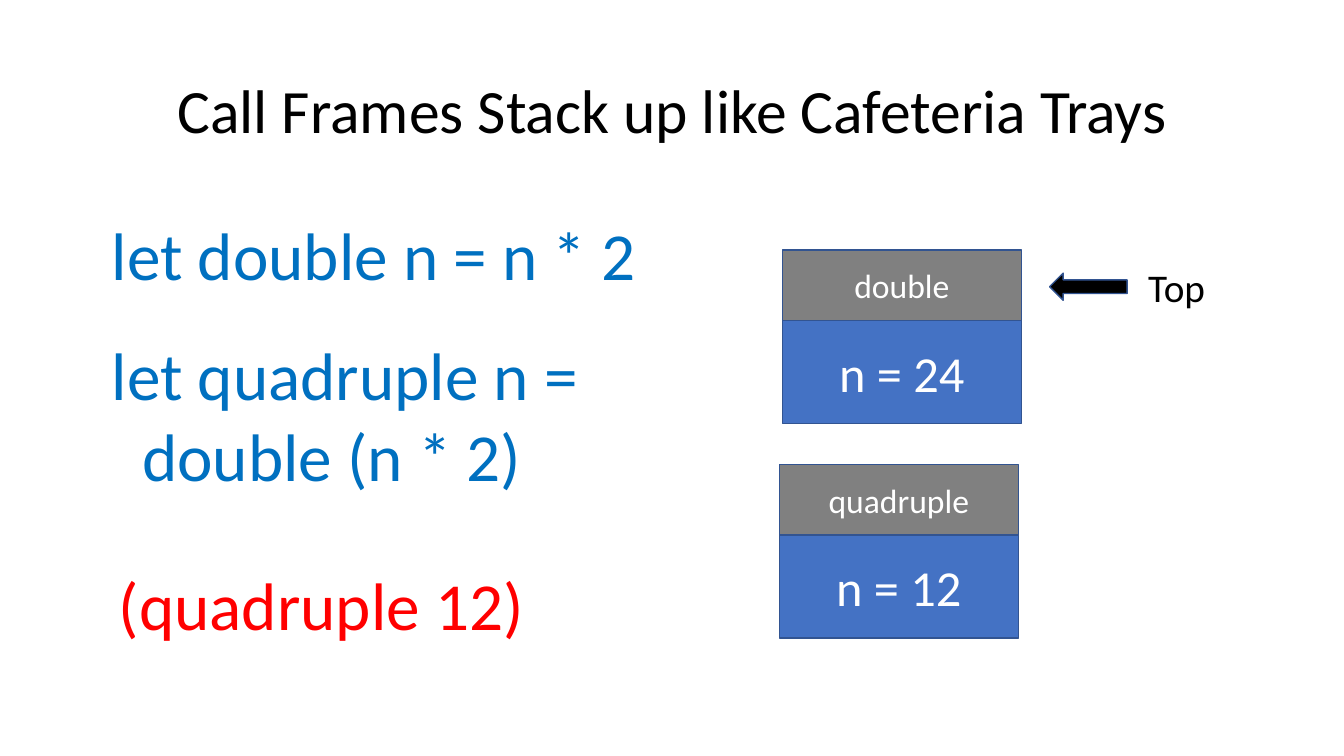
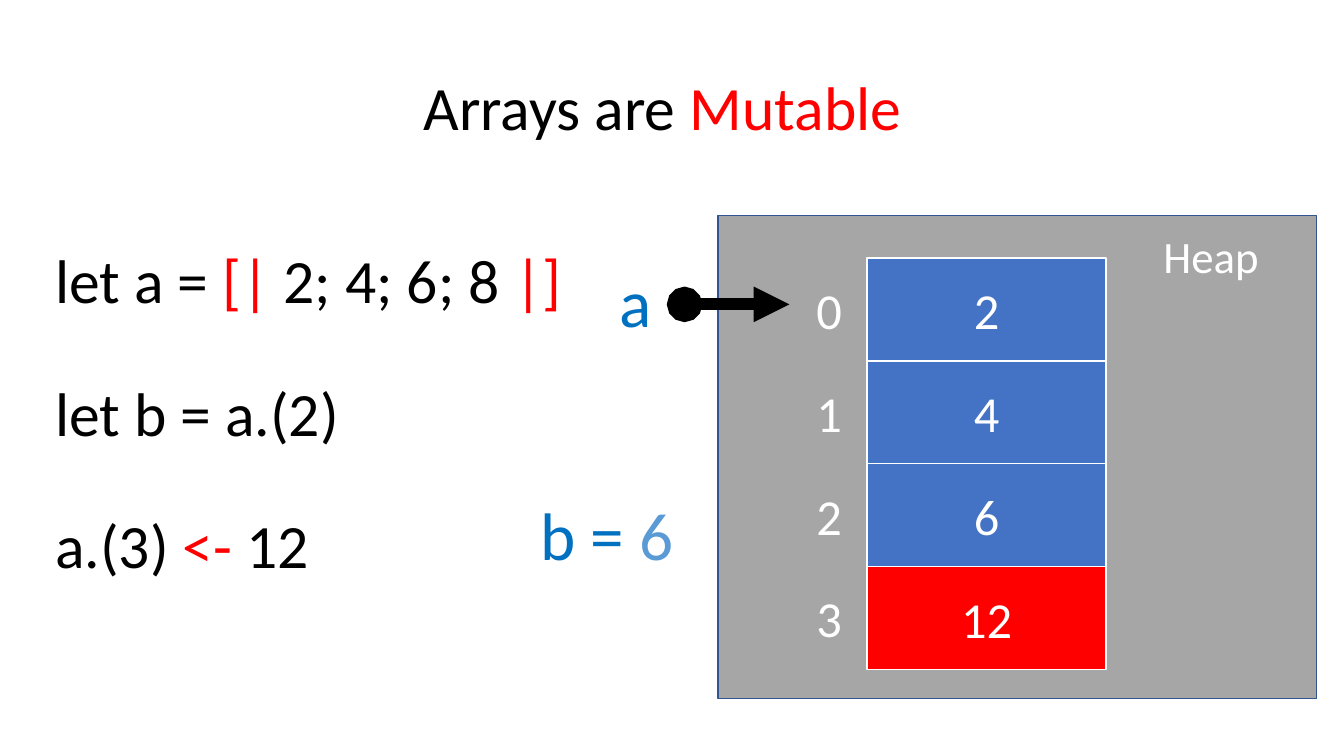
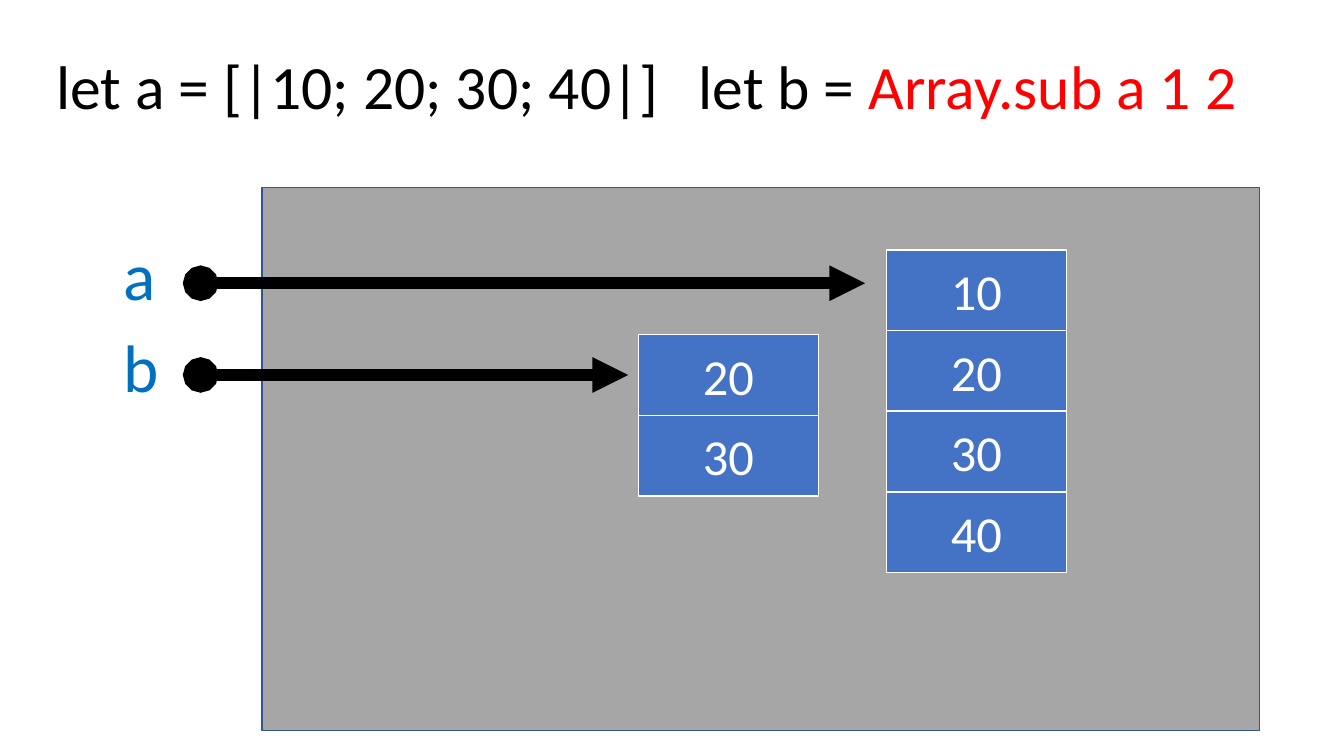
import pptx
import pptx.util
import pptx.dml.color
import pptx.enum.shapes
import pptx.enum.text
import pptx.oxml.ns
import pptx.slide
import pptx.shapes.autoshape
import pptx.presentation
import lxml.etree
from dataclasses import dataclass
from typing import NamedTuple, Optional

Inches = pptx.util.Inches
Pt = pptx.util.Pt
RGBColor = pptx.dml.color.RGBColor
Align = pptx.enum.text.PP_ALIGN
Anchor = pptx.enum.text.MSO_ANCHOR
Preset = pptx.enum.shapes.MSO_SHAPE
qn = pptx.oxml.ns.qn

FONT = "Calibri"
BLACK = RGBColor(0x00, 0x00, 0x00)
WHITE = RGBColor(0xFF, 0xFF, 0xFF)
RED = RGBColor(0xFF, 0x00, 0x00)
CODE_BLUE = RGBColor(0x00, 0x70, 0xC0)
LIGHT_BLUE = RGBColor(0x5B, 0x9B, 0xD5)
CELL_BLUE = RGBColor(0x44, 0x72, 0xC4)
OUTLINE = RGBColor(0x32, 0x54, 0x91)
HEADER_GREY = RGBColor(0x80, 0x80, 0x80)
HEAP_GREY = RGBColor(0xA6, 0xA6, 0xA6)
TITLE_SIZE = 44
CODE_SIZE = 48
CELL_SIZE = 36


class Area(NamedTuple):
    left: float
    top: float
    width: float
    height: float


class Span(NamedTuple):
    text: str
    color: RGBColor


Lines = list[list[Span]]


@dataclass
class Label:
    area: Area
    lines: Lines
    size: int = CODE_SIZE
    align: Align = Align.LEFT
    anchor: Anchor = Anchor.TOP
    wrap: bool = True
    line_spacing: float = 1.0
    gap: float = 0
    tab: Optional[float] = None


@dataclass
class Block:
    area: Area
    fill: RGBColor
    line: RGBColor = OUTLINE
    text: str = ""
    size: int = CELL_SIZE
    preset: Preset = Preset.RECTANGLE


@dataclass
class Pointer:
    left: float
    right: float
    y: float


@dataclass
class CallFrame:
    name: str
    value: str
    left: float
    top: float


@dataclass
class ArrayCells:
    left: float
    top: float
    width: float
    height: float
    values: list[str]


def inches(area: Area) -> list[pptx.util.Length]:
    return [Inches(value) for value in area]


def add_span(para, span: Span, size: int) -> None:
    run = para.add_run()
    run.text = span.text
    run.font.name = FONT
    run.font.size = Pt(size)
    run.font.color.rgb = span.color


def draw_label(page: pptx.slide.Slide, label: Label) -> None:
    frame = page.shapes.add_textbox(*inches(label.area)).text_frame
    frame.word_wrap = label.wrap
    frame.vertical_anchor = label.anchor
    for index, line in enumerate(label.lines):
        para = frame.add_paragraph() if index else frame.paragraphs[0]
        if label.tab is not None:
            tabs = lxml.etree.SubElement(para._p.get_or_add_pPr(), qn("a:tabLst"))
            lxml.etree.SubElement(tabs, qn("a:tab"), pos=str(Inches(label.tab)), algn="l")
        para.alignment = label.align
        para.line_spacing = label.line_spacing
        if index and label.gap:
            para.space_before = Pt(label.gap)
        for span in line:
            add_span(para, span, label.size)


def draw_block(page: pptx.slide.Slide, block: Block) -> None:
    box = page.shapes.add_shape(block.preset, *inches(block.area))
    box.shadow.inherit = False
    box.fill.solid()
    box.fill.fore_color.rgb = block.fill
    box.line.color.rgb = block.line
    box.line.width = Pt(1)
    if block.text:
        box.text_frame.word_wrap = True
        box.text_frame.vertical_anchor = Anchor.MIDDLE
        para = box.text_frame.paragraphs[0]
        para.alignment = Align.CENTER
        add_span(para, Span(block.text, WHITE), block.size)


def draw_pointer(page: pptx.slide.Slide, pointer: Pointer) -> None:
    y = Inches(pointer.y)
    connector = page.shapes.add_connector(
        pptx.enum.shapes.MSO_CONNECTOR.STRAIGHT,
        Inches(pointer.left), y, Inches(pointer.right), y)
    connector.line.color.rgb = BLACK
    connector.line.width = Pt(8.5)
    properties = connector._element.spPr
    outline = properties.find(qn("a:ln"))
    lxml.etree.SubElement(outline, qn("a:headEnd"), type="oval")
    lxml.etree.SubElement(outline, qn("a:tailEnd"), type="triangle")
    lxml.etree.SubElement(properties, qn("a:effectLst"))


def draw_title(page: pptx.slide.Slide, area: Area, spans: list[Span],
               align: Align = Align.CENTER, tab: Optional[float] = None) -> None:
    draw_label(page, Label(area, [spans], TITLE_SIZE, align, Anchor.MIDDLE,
                           line_spacing=0.9, tab=tab))


def draw_call_frame(page: pptx.slide.Slide, call: CallFrame) -> None:
    width, header, body = 2.37, 0.7, 1.02
    draw_block(page, Block(Area(call.left, call.top, width, header),
                           HEADER_GREY, text=call.name, size=24))
    draw_block(page, Block(Area(call.left, call.top + header, width, body),
                           CELL_BLUE, text=call.value))


def draw_array(page: pptx.slide.Slide, cells: ArrayCells,
               changed: Optional[int] = None) -> None:
    for index, value in enumerate(cells.values):
        area = Area(cells.left, cells.top + index * cells.height, cells.width, cells.height)
        fill = RED if index == changed else CELL_BLUE
        draw_block(page, Block(area, fill, WHITE, value))


def add_page(deck: pptx.presentation.Presentation) -> pptx.slide.Slide:
    return deck.slides.add_slide(deck.slide_layouts[6])


def build_call_frames(deck: pptx.presentation.Presentation) -> None:
    page = add_page(deck)
    draw_title(page, Area(0.92, 0.4, 11.5, 1.45),
               [Span("Call Frames Stack up like Cafeteria Trays", BLACK)])
    for label in (
        Label(Area(1.01, 2.07, 5.82, 0.91), [[Span("let double n = n * 2", CODE_BLUE)]]),
        Label(Area(1.01, 3.26, 5.36, 1.72), [[Span("let quadruple n =", CODE_BLUE)],
                                             [Span("  double (n * 2)", CODE_BLUE)]]),
        Label(Area(1.08, 5.54, 4.32, 0.91), [[Span("(quadruple 12)", RED)]]),
        Label(Area(11.29, 2.56, 0.77, 0.57), [[Span("Top", BLACK)]], 28, wrap=False),
    ):
        draw_label(page, label)
    draw_call_frame(page, CallFrame("double", "n = 24", 7.76, 2.48))
    draw_call_frame(page, CallFrame("quadruple", "n = 12", 7.73, 4.61))
    draw_block(page, Block(Area(10.41, 2.71, 0.77, 0.27), BLACK, preset=Preset.LEFT_ARROW))


def build_mutable_arrays(deck: pptx.presentation.Presentation) -> None:
    page = add_page(deck)
    draw_block(page, Block(Area(7.12, 2.14, 5.94, 4.79), HEAP_GREY))
    draw_title(page, Area(0.89, 0.37, 11.5, 1.45),
               [Span("Arrays are ", BLACK), Span("Mutable ", RED)])
    code = [
        [Span("let a = ", BLACK), Span("[| ", RED), Span("2; 4; 6; 8 ", BLACK), Span("|]", RED)],
        [Span("let b = a.(2)", BLACK)],
        [Span("a.(3)", BLACK), Span(" <- ", RED), Span("12", BLACK)],
    ]
    for label in (
        Label(Area(0.45, 2.45, 5.24, 3.36), code, TITLE_SIZE, anchor=Anchor.MIDDLE,
              line_spacing=0.9, gap=47),
        Label(Area(6.05, 2.53, 0.56, 0.91), [[Span("a", CODE_BLUE)]]),
        Label(Area(5.26, 4.84, 1.72, 0.91), [[Span("b = ", CODE_BLUE), Span("6", LIGHT_BLUE)]]),
        Label(Area(11.44, 2.22, 1.16, 0.64), [[Span("Heap", WHITE)]], 32, wrap=False),
    ):
        draw_label(page, label)
    cells = ArrayCells(8.6, 2.56, 2.37, 1.02, ["2", "4", "6", "12"])
    draw_array(page, cells, changed=3)
    for index in range(len(cells.values)):
        area = Area(8, 2.72 + index * cells.height, 0.53, 0.71)
        draw_label(page, Label(area, [[Span(str(index), WHITE)]], CELL_SIZE))
    draw_pointer(page, Pointer(6.79, 7.83, 3.02))


def build_array_sub(deck: pptx.presentation.Presentation) -> None:
    page = add_page(deck)
    draw_block(page, Block(Area(2.6, 1.86, 9.89, 5.39), HEAP_GREY))
    draw_title(page, Area(0.46, 0.59, 12.69, 0.59),
               [Span("let a = [|10; 20; 30; 40|]\tlet b = ", BLACK), Span("Array.sub a 1 2", RED)],
               Align.LEFT, tab=6.37)
    draw_array(page, ArrayCells(8.79, 2.48, 1.79, 0.8, ["10", "20", "30", "40"]))
    draw_array(page, ArrayCells(6.33, 3.32, 1.79, 0.8, ["20", "30"]))
    for name, top, right in (("a", 2.27, 8.58), ("b", 3.18, 6.23)):
        draw_label(page, Label(Area(1.13, top, 0.56, 0.91), [[Span(name, CODE_BLUE)]]))
        draw_pointer(page, Pointer(1.99, right, top + 0.54))


def main() -> None:
    deck = pptx.Presentation()
    deck.slide_width = Inches(13.33)
    deck.slide_height = Inches(7.5)
    build_call_frames(deck)
    build_mutable_arrays(deck)
    build_array_sub(deck)
    deck.save("out.pptx")


if __name__ == "__main__":
    main()
